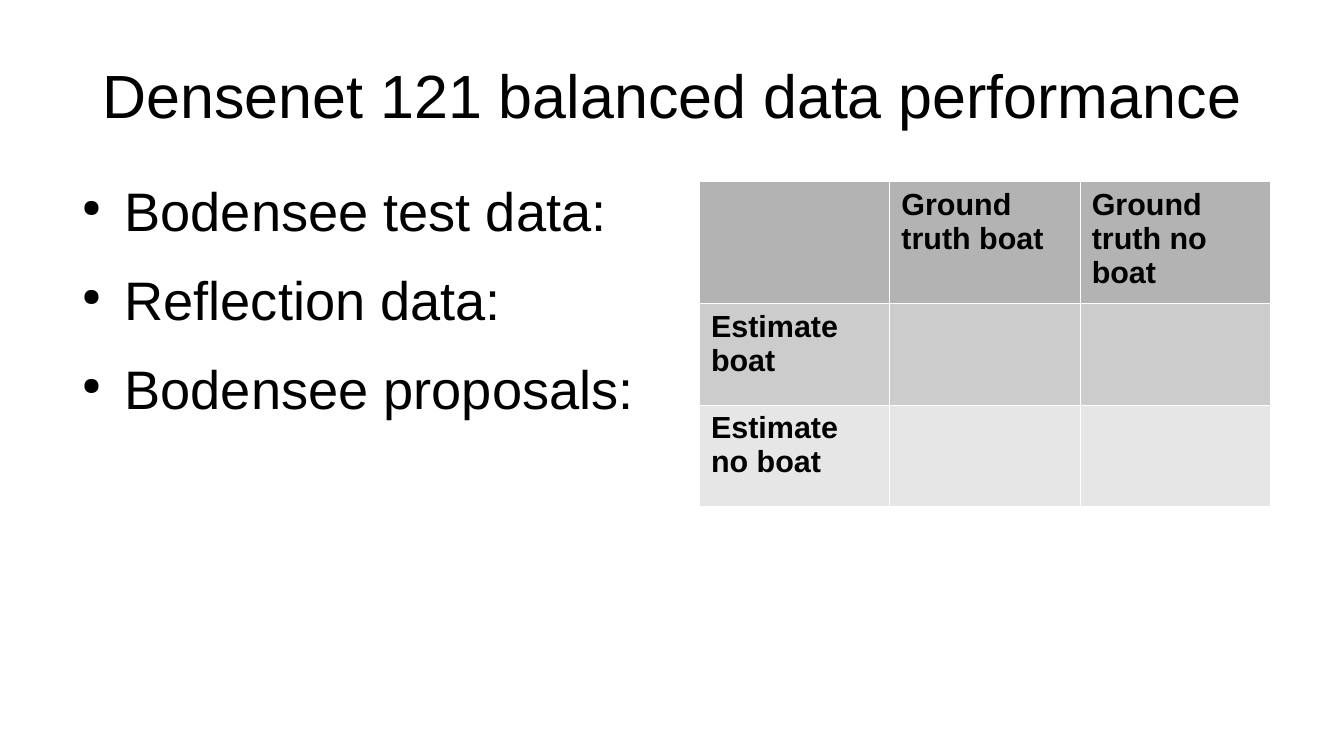
from lxml.etree import SubElement
from pptx import Presentation
from pptx.dml.color import RGBColor
from pptx.enum.text import MSO_ANCHOR, PP_ALIGN
from pptx.oxml.ns import qn
from pptx.util import Inches, Pt

COLORS = {"text": "000000", "border": "FFFFFF", "header": "B3B3B3",
          "boat": "CCCCCC", "no boat": "E6E6E6"}

presentation = Presentation()
presentation.slide_width = Inches(11.02)
presentation.slide_height = Inches(6.2)
width, height = presentation.slide_width, presentation.slide_height
slide = presentation.slides.add_slide(presentation.slide_layouts[6])


def set_font(paragraph, size, bold=False):
    paragraph.font.name = "Arial"
    paragraph.font.size = Pt(size)
    paragraph.font.bold = bold
    paragraph.font.color.rgb = RGBColor.from_string(COLORS["text"])


def add_text_frame(top, box_height, anchor):
    shape = slide.shapes.add_textbox(
        int(width * 0.05), int(height * top), int(width * 0.9), int(height * box_height))
    frame = shape.text_frame
    frame.word_wrap = True
    frame.vertical_anchor = anchor
    frame.margin_left = frame.margin_right = frame.margin_top = frame.margin_bottom = 0
    return frame


# Title
title = add_text_frame(0.04, 0.17, MSO_ANCHOR.MIDDLE).paragraphs[0]
title.text = "Densenet 121 balanced data performance"
title.alignment = PP_ALIGN.CENTER
set_font(title, 36)

# Bulleted list of data sets
data_sets = add_text_frame(0.234, 0.58, MSO_ANCHOR.TOP)
data_sets.text = "Bodensee test data:\nReflection data:\nBodensee proposals:"
for paragraph in data_sets.paragraphs:
    set_font(paragraph, 32)
    paragraph.space_before = Pt(14.2)
    properties = paragraph._p.get_or_add_pPr()
    properties.set("marL", str(Inches(0.47)))
    properties.set("indent", str(Inches(-0.35)))
    bullet_color = SubElement(properties, qn("a:buClr"))
    SubElement(bullet_color, qn("a:srgbClr"), val=COLORS["text"])
    SubElement(properties, qn("a:buSzPct"), val="45000")
    SubElement(properties, qn("a:buChar"), char="●")

# Confusion matrix
rows = [
    ("header", 0.16, ["", "Ground truth boat", "Ground truth no boat"]),
    ("boat", 0.134, ["Estimate boat", "", ""]),
    ("no boat", 0.134, ["Estimate no boat", "", ""]),
]
matrix = slide.shapes.add_table(
    3, 3, int(width * 0.52), int(height * 0.24), int(width * 0.425), int(height * 0.428)).table
for column in matrix.columns:
    column.width = int(width * 0.425 / 3)
for row_index, (color, row_height, labels) in enumerate(rows):
    matrix.rows[row_index].height = int(height * row_height)
    for column_index, label in enumerate(labels):
        cell = matrix.cell(row_index, column_index)
        cell.text = label
        set_font(cell.text_frame.paragraphs[0], 18, bold=True)
        # Borders come before the fill in the cell properties
        cell_properties = cell._tc.get_or_add_tcPr()
        for side in ("a:lnL", "a:lnR", "a:lnT", "a:lnB"):
            border = SubElement(cell_properties, qn(side), w=str(Pt(0.06)))
            border_fill = SubElement(border, qn("a:solidFill"))
            SubElement(border_fill, qn("a:srgbClr"), val=COLORS["border"])
        cell.fill.solid()
        cell.fill.fore_color.rgb = RGBColor.from_string(COLORS[color])

presentation.save("out.pptx")
